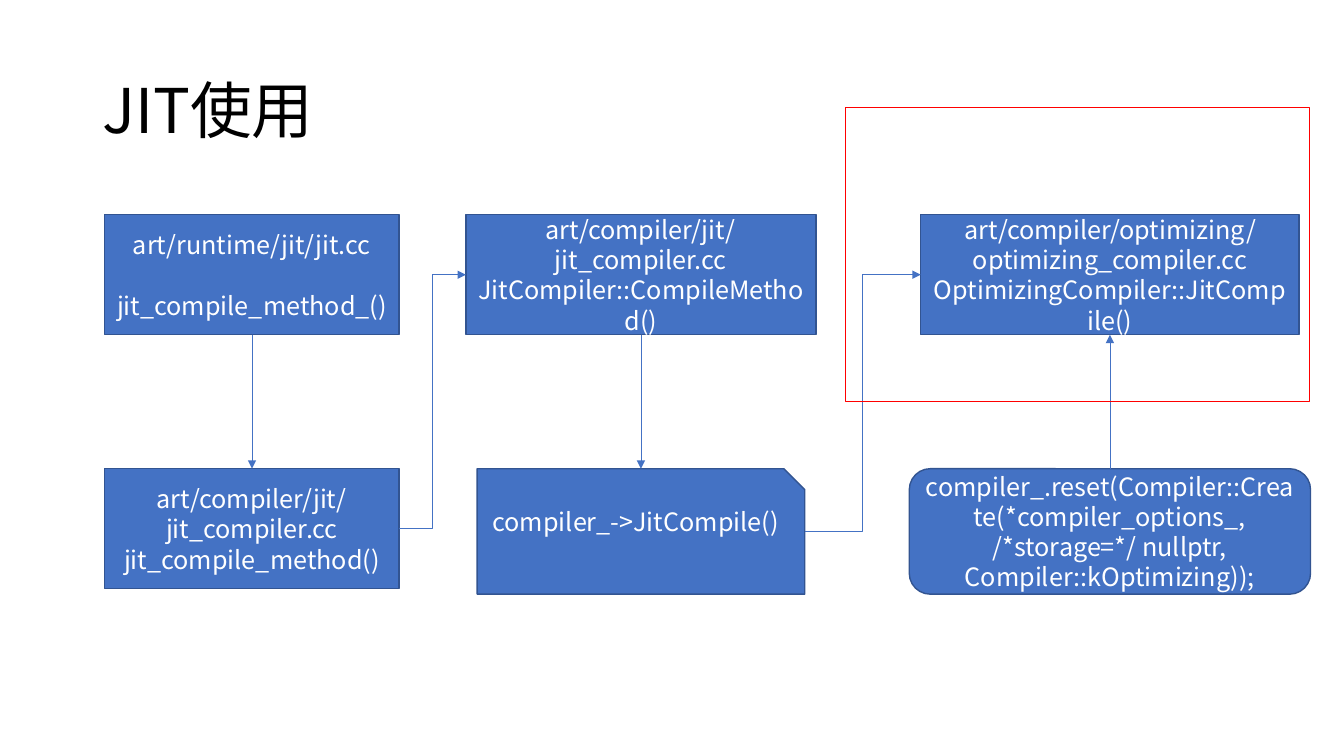
from dataclasses import dataclass

from lxml import etree
from pptx import Presentation
from pptx.dml.color import RGBColor
from pptx.enum import shapes, text
from pptx.oxml import ns
from pptx.util import Pt


@dataclass(frozen=True)
class Theme:
    font: str = "Noto Sans CJK SC"
    title_size: float = 44
    body_size: float = 18
    blank_line: float = 21.7
    ink: str = "000000"
    white: str = "FFFFFF"
    blue: str = "4472C4"
    outline: str = "325491"
    red: str = "FF0000"


class Canvas:
    """Draws styled elements on one slide; all lengths are in points."""

    def __init__(self, slide, theme):
        self.slide = slide
        self.theme = theme

    def style_text(self, paragraph, size, color):
        font = paragraph.font
        font.name = self.theme.font
        font.size = Pt(size)
        font.color.rgb = RGBColor.from_string(color)
        # East Asian characters need the typeface named separately
        latin = font._element.find(ns.qn("a:latin"))
        east_asian = etree.Element(ns.qn("a:ea"), typeface=self.theme.font)
        latin.addnext(east_asian)

    def title(self, wording, left, top, width, height):
        shape = self.slide.shapes.add_textbox(Pt(left), Pt(top), Pt(width), Pt(height))
        frame = shape.text_frame
        frame.word_wrap = True
        frame.vertical_anchor = text.MSO_ANCHOR.MIDDLE
        paragraph = frame.paragraphs[0]
        paragraph.text = wording
        paragraph.line_spacing = 0.9
        self.style_text(paragraph, self.theme.title_size, self.theme.ink)

    def outlined(self, kind, left, top, width, height, color):
        shape = self.slide.shapes.add_shape(kind, Pt(left), Pt(top), Pt(width), Pt(height))
        shape.shadow.inherit = False
        shape.line.color.rgb = RGBColor.from_string(color)
        shape.line.width = Pt(1)
        return shape

    def frame(self, left, top, width, height):
        shape = self.outlined(shapes.MSO_SHAPE.RECTANGLE, left, top, width, height, self.theme.red)
        shape.fill.background()

    def box(self, lines, center, top, width, height,
            kind=shapes.MSO_SHAPE.RECTANGLE, gap=0, lift=0):
        shape = self.outlined(kind, center - width / 2, top, width, height, self.theme.outline)
        shape.fill.solid()
        shape.fill.fore_color.rgb = RGBColor.from_string(self.theme.blue)
        frame = shape.text_frame
        frame.word_wrap = True
        frame.vertical_anchor = text.MSO_ANCHOR.MIDDLE
        frame.margin_bottom = Pt(3.6 + lift)
        for index, line in enumerate(lines):
            paragraph = frame.add_paragraph() if index else frame.paragraphs[0]
            paragraph.text = line
            paragraph.alignment = text.PP_ALIGN.CENTER
            paragraph.space_before = Pt(gap if index else 0)
            self.style_text(paragraph, self.theme.body_size, self.theme.white)
        return shape

    def arrow(self, start, start_site, end, end_site, kind=shapes.MSO_CONNECTOR.STRAIGHT):
        connector = self.slide.shapes.add_connector(kind, 0, 0, 0, 0)
        connector.begin_connect(start, start_site)
        connector.end_connect(end, end_site)
        connector.line.color.rgb = RGBColor.from_string(self.theme.blue)
        connector.line.width = Pt(0.5)
        etree.SubElement(connector.line._get_or_add_ln(), ns.qn("a:tailEnd"), type="triangle")
        etree.SubElement(connector._element.spPr, ns.qn("a:effectLst"))


TOP, LEFT, BOTTOM, RIGHT = range(4)  # connection sites
UPPER, LOWER = 153.4, 334.8  # row tops
SHORT, TALL = 85.7, 89.6  # box heights
RUNTIME, COMPILER, OPTIMIZING = 180, 457.8, 792.8  # column centres

presentation = Presentation()
presentation.slide_width, presentation.slide_height = Pt(960), Pt(540)
slide = presentation.slides.add_slide(presentation.slide_layouts[6])
theme = Theme()
canvas = Canvas(slide, theme)

# Title
canvas.title("JIT使用", 66, 28.75, 828, 104.4)

# Runtime column
runtime_jit = canvas.box(["art/runtime/jit/jit.cc", "jit_compile_method_()"],
                         RUNTIME, UPPER, 210.4, SHORT, gap=theme.blank_line)
compile_method = canvas.box(["art/compiler/jit/jit_compiler.cc", "jit_compile_method()"],
                            RUNTIME, LOWER, 210.4, SHORT)

# Compiler column
jit_compiler = canvas.box(["art/compiler/jit/jit_compiler.cc", "JitCompiler::CompileMethod()"],
                          COMPILER, UPPER, 250, SHORT)
jit_compile = canvas.box(["compiler_->JitCompile()"], COMPILER, LOWER, 234, TALL,
                         kind=shapes.MSO_SHAPE.SNIP_1_RECTANGLE, lift=theme.blank_line)

# Optimizing column
compiler_reset = canvas.box(
    ["compiler_.reset(Compiler::Create(*compiler_options_, "
     "/*storage=*/ nullptr, Compiler::kOptimizing));"],
    OPTIMIZING, LOWER, 286.6, TALL, kind=shapes.MSO_SHAPE.ROUNDED_RECTANGLE)
optimizing_compiler = canvas.box(
    ["art/compiler/optimizing/optimizing_compiler.cc", "OptimizingCompiler::JitCompile()"],
    OPTIMIZING, UPPER, 270.2, SHORT)

# Call flow
canvas.arrow(runtime_jit, BOTTOM, compile_method, TOP)
canvas.arrow(compile_method, RIGHT, jit_compiler, LEFT, shapes.MSO_CONNECTOR.ELBOW)
canvas.arrow(jit_compiler, BOTTOM, jit_compile, TOP)
canvas.arrow(jit_compile, RIGHT, optimizing_compiler, LEFT, shapes.MSO_CONNECTOR.ELBOW)
canvas.arrow(compiler_reset, TOP, optimizing_compiler, BOTTOM)

# Highlight around the optimizing compiler
canvas.frame(604, 77, 331.5, 210)

presentation.save("out.pptx")
